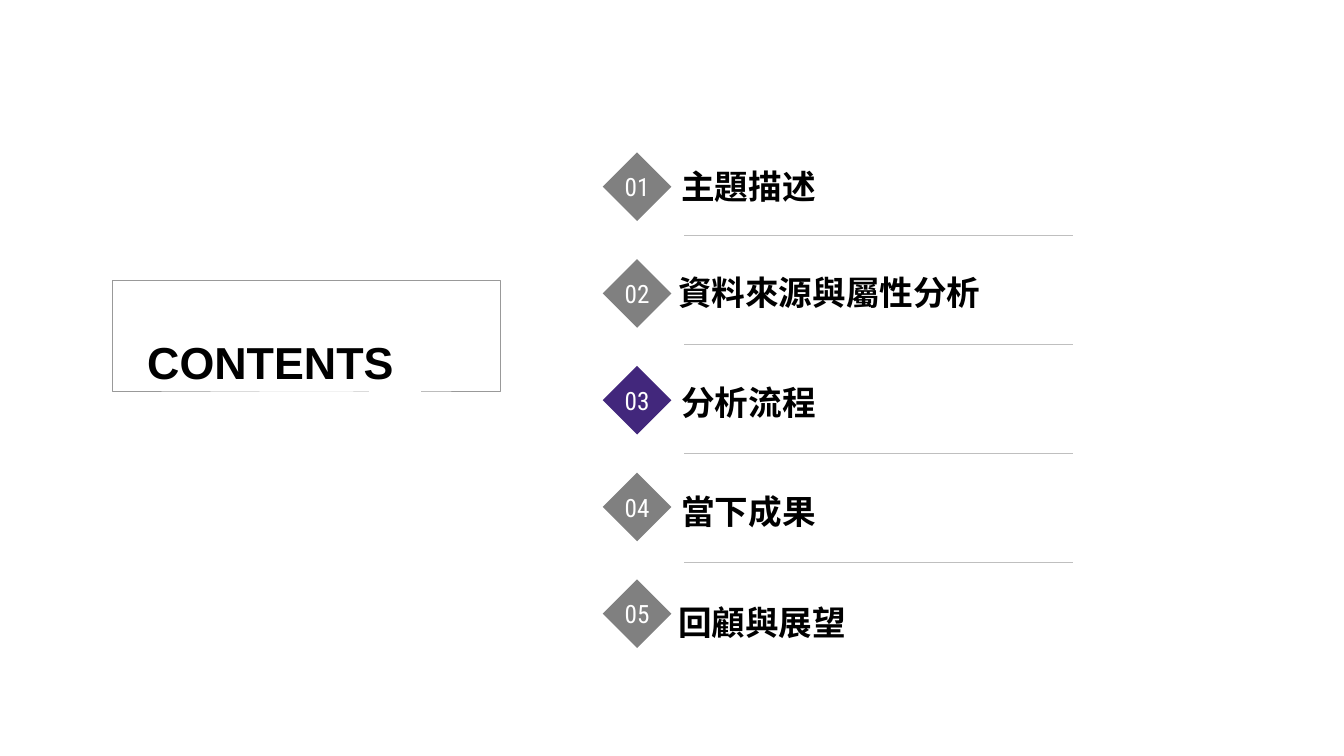
from lxml import etree
from pptx import Presentation
from pptx.dml.color import RGBColor
from pptx.enum import shapes, text
from pptx.oxml import ns
from pptx.util import Cm, Pt


def color(hex_string):
    return RGBColor.from_string(hex_string)


def add_rule(left, right, y, line_color, width):
    """Draw a horizontal line without a shadow."""
    rule = slide.shapes.add_connector(
        shapes.MSO_CONNECTOR.STRAIGHT, Cm(left), Cm(y), Cm(right), Cm(y))
    rule.line.color.rgb = color(line_color)
    rule.line.width = Pt(width)
    etree.SubElement(rule._element.spPr, ns.qn("a:effectLst"))


prs = Presentation()
prs.slide_width, prs.slide_height = Cm(33.87), Cm(19.05)
slide = prs.slides.add_slide(prs.slide_layouts[6])

# Framed title with a gap in its lower edge
contents = slide.shapes.add_shape(
    shapes.MSO_SHAPE.RECTANGLE, Cm(2.83), Cm(7.07), Cm(9.78), Cm(2.78))
contents.shadow.inherit = False
contents.fill.background()
contents.line.color.rgb = color("999999")
contents.line.width = Pt(0.25)
frame = contents.text_frame
frame.vertical_anchor = text.MSO_ANCHOR.BOTTOM
frame.margin_left, frame.margin_bottom = Cm(0.88), Cm(0.05)
title = frame.paragraphs[0]
title.text = "CONTENTS"
title.alignment = text.PP_ALIGN.LEFT
title.font.name, title.font.size, title.font.bold = "Arial", Pt(32), True
title.font.color.rgb = color("000000")
add_rule(9.3, 10.6, 9.85, "FFFFFF", 0.5)

# Chapter name, left edge and bottom edge of its text box
chapters = [
    ("主題描述", 16.92, 5.33),
    ("資料來源與屬性分析", 16.84, 8.0),
    ("分析流程", 16.92, 10.77),
    ("當下成果", 16.92, 13.51),
    ("回顧與展望", 16.84, 16.31),
]
current = 3
name_height = 1.4

for number, (name, left, bottom) in enumerate(chapters, 1):
    diamond = slide.shapes.add_shape(
        shapes.MSO_SHAPE.DIAMOND, Cm(15.19), Cm(3.84 + 2.69 * (number - 1)),
        Cm(1.73), Cm(1.73))
    diamond.shadow.inherit = False
    diamond.fill.solid()
    diamond.fill.fore_color.rgb = color("42277C" if number == current else "808080")
    diamond.line.fill.background()
    frame = diamond.text_frame
    frame.margin_left = frame.margin_right = frame.margin_top = frame.margin_bottom = 0
    frame.word_wrap = False
    frame.vertical_anchor = text.MSO_ANCHOR.MIDDLE
    label = frame.paragraphs[0]
    label.text = f"{number:02}"
    label.alignment = text.PP_ALIGN.CENTER
    label.font.name, label.font.size = "Roboto Condensed", Pt(18)
    label.font.color.rgb = color("FFFFFF")

    frame = slide.shapes.add_textbox(
        Cm(left), Cm(bottom - name_height), Cm(11.3), Cm(name_height)).text_frame
    frame.word_wrap = True
    frame.vertical_anchor = text.MSO_ANCHOR.BOTTOM
    chapter = frame.paragraphs[0]
    chapter.text = name
    chapter.font.name, chapter.font.size, chapter.font.bold = "Arial", Pt(24), True
    chapter.font.color.rgb = color("000000")

    if number < len(chapters):
        add_rule(17.25, 27.05, 5.92 + 2.75 * (number - 1), "BFBFBF", 0.25)

prs.save("out.pptx")
